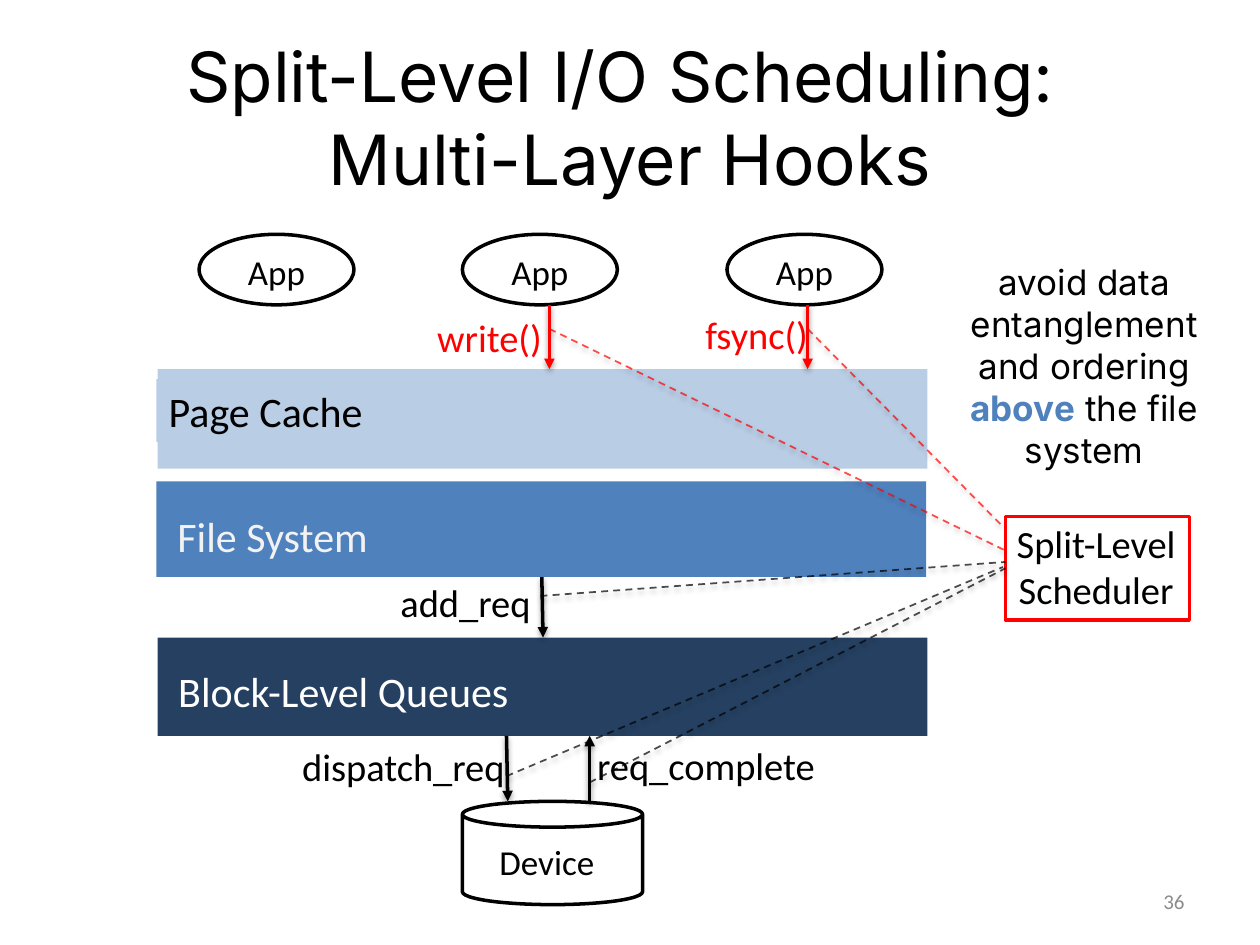
from lxml.etree import SubElement
from pptx import Presentation
from pptx.dml.color import RGBColor
from pptx.enum.dml import MSO_LINE
from pptx.enum.shapes import MSO_CONNECTOR, MSO_SHAPE
from pptx.enum.text import MSO_ANCHOR, PP_ALIGN
from pptx.oxml.ns import qn
from pptx.util import Inches, Pt

INK = {"black": "000000", "white": "FFFFFF", "red": "FF0000", "pale": "B9CDE5",
       "blue": "4F81BD", "navy": "254061", "light": "F2F2F2", "gray": "8C8C8C"}
ALIGN = {"l": PP_ALIGN.LEFT, "c": PP_ALIGN.CENTER, "r": PP_ALIGN.RIGHT}


def tint(name):
    """Return the named colour."""
    return RGBColor.from_string(INK[name])


class Board:
    """Style and current slide."""

    def __init__(self, slide, font="Calibri"):
        """Keep the slide and the main font."""
        self.slide, self.font = slide, font

    def put(self, shape, runs, size, align="l", font=None, mid=False):
        """Fill a shape with (text, colour, bold) runs; None breaks the line."""
        frame = shape.text_frame
        frame.word_wrap = True
        frame.vertical_anchor = MSO_ANCHOR.MIDDLE if mid else MSO_ANCHOR.TOP
        para = frame.paragraphs[0]
        para.alignment = ALIGN[align]
        for item in runs:
            if item is None:
                para.add_line_break()
                continue
            run = para.add_run()
            run.text, ink, run.font.bold = item
            run.font.size, run.font.name = Pt(size), font or self.font
            run.font.color.rgb = tint(ink)

    def text(self, box, runs, size, **style):
        """Add a text box."""
        shape = self.slide.shapes.add_textbox(*map(Inches, box))
        self.put(shape, runs, size, **style)

    def label(self, box, words, size=22, ink="black", align="l"):
        """Add a text box with a single run."""
        self.text(box, [(words, ink, False)], size, align=align)

    def shape(self, kind, box, fill, edge=None):
        """Add a flat preset shape."""
        shape = self.slide.shapes.add_shape(kind, *map(Inches, box))
        shape.shadow.inherit = False
        shape.fill.solid()
        shape.fill.fore_color.rgb = tint(fill)
        if edge:
            shape.line.color.rgb = tint(edge)
            shape.line.width = Pt(2)
        else:
            shape.line.fill.background()
        return shape

    def line(self, start, end, ink, width):
        """Add a straight line with a soft shadow."""
        link = self.slide.shapes.add_connector(
            MSO_CONNECTOR.STRAIGHT, *map(Inches, start + end))
        link.line.color.rgb = tint(ink)
        link.line.width = Pt(width)
        fx = SubElement(link._element.spPr, qn("a:effectLst"))
        shade = SubElement(fx, qn("a:outerShdw"), blurRad="40000", dist="20000",
                           dir="5400000", rotWithShape="0")
        hue = SubElement(shade, qn("a:srgbClr"), val=INK["black"])
        SubElement(hue, qn("a:alpha"), val="38000")
        return link

    def arrow(self, start, end, ink="black"):
        """Add a line with an arrowhead at its end."""
        link = self.line(start, end, ink, 2)
        edge = link._element.spPr.find(qn("a:ln"))
        SubElement(edge, qn("a:tailEnd"), type="triangle")

    def hook(self, start, end, ink="black"):
        """Add a faint dashed line."""
        link = self.line(start, end, ink, 1)
        link.line.dash_style = MSO_LINE.DASH
        edge = link._element.spPr.find(qn("a:ln"))
        hue = next(edge.iter(qn("a:srgbClr")))
        SubElement(hue, qn("a:alpha"), val="70000")


deck = Presentation()
deck.slide_width, deck.slide_height = Inches(10), Inches(7.5)
board = Board(deck.slides.add_slide(deck.slide_layouts[6]))

board.text((0.5, 0.3, 9, 1.25),
           [("Split-Level I/O Scheduling: ", "black", False), None,
            ("Multi-Layer Hooks", "black", False)],
           39.6, align="c", font="Inter", mid=True)

# Storage layers
RECT = MSO_SHAPE.RECTANGLE
board.shape(RECT, (1.25, 2.93, 6.11, 0.79), "pale")
cache = board.shape(RECT, (1.24, 3.01, 2.52, 0.5), "pale")
board.put(cache, [("Page Cache", "black", False)], 24)
board.shape(RECT, (1.24, 3.82, 6.11, 0.76), "blue")
files = board.shape(RECT, (1.31, 4, 5.72, 0.5), "blue")
board.put(files, [("File System", "light", False)], 24)
board.shape(RECT, (1.25, 5.06, 6.11, 0.78), "navy")
board.label((1.3, 5.23, 2.85, 0.5), "Block-Level Queues ", 24, "white", "c")

# Block requests and device
board.shape(MSO_SHAPE.CAN, (3.67, 6.36, 1.43, 0.82), "white", "black")
for box, words, start, end in [
        ((3.08, 4.55, 1.4, 0.47), "add_req", (4.3, 4.58), (4.31, 5.06)),
        ((2.3, 5.85, 1.89, 0.47), "dispatch_req", (4.02, 5.84), (4.03, 6.36)),
        ((4.64, 5.84, 1.95, 0.47), "req_complete", (4.68, 6.36), (4.68, 5.84))]:
    board.label(box, words)
    board.arrow(start, end)
board.label((3.08, 6.62, 2.52, 0.44), "Device", 20, align="c")

# Scheduler and its lower hooks
board.shape(RECT, (7.98, 4.1, 1.46, 0.82), "white", "red")
board.label((7.96, 4.08, 1.48, 0.84), "Split-Level Scheduler", align="c")
for start, end in [((4.29, 4.73), (7.98, 4.46)), ((4.02, 6.16), (7.96, 4.5)),
                   ((4.68, 6.21), (7.98, 4.51))]:
    board.hook(start, end)

# Apps, system calls and upper hooks
for left in (1.58, 3.67, 5.77):
    app = board.shape(MSO_SHAPE.OVAL, (left, 1.86, 1.23, 0.56), "white", "black")
    board.put(app, [("App", "black", False)], 20, align="c")
for box, words, x, end in [
        ((3.3, 2.44, 1.17, 0.47), "write()", 4.36, (7.98, 4.37)),
        ((5.42, 2.42, 1.17, 0.47), "fsync()", 6.41, (7.96, 4.18))]:
    board.hook((x, 2.61), end, "red")
    board.label(box, words, ink="red", align="c")
    board.arrow((x, 2.42), (x, 2.93), "red")

board.text((7.35, 2.02, 2.51, 1.45),
           [("avoid data entanglement and ordering ", "black", False),
            ("above", "blue", True), (" the file system", "black", False)],
           20, align="c", font="Inter")
board.text((7.17, 6.95, 2.33, 0.4), [("36", "gray", False)], 12,
           align="r", mid=True)

deck.save("out.pptx")
